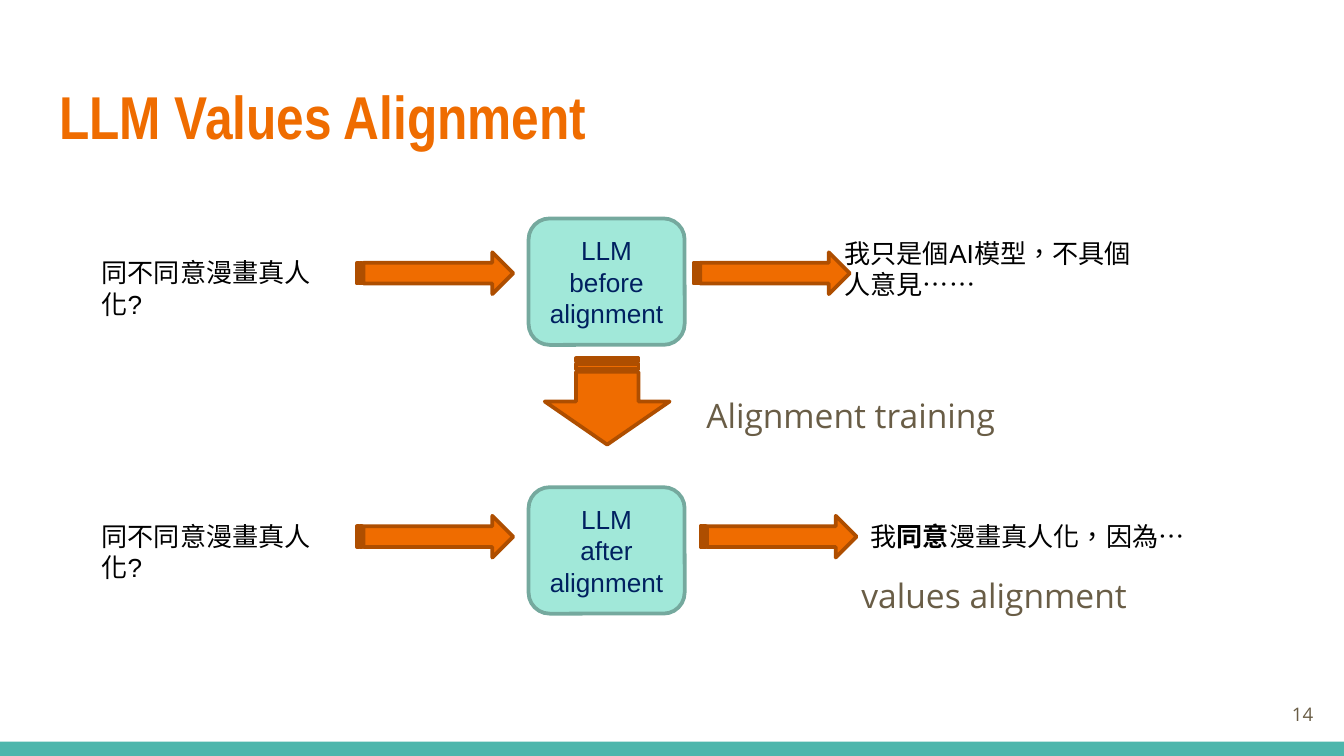
from pptx import Presentation
from pptx.dml.color import RGBColor
from pptx.enum.lang import MSO_LANGUAGE_ID
from pptx.enum.shapes import MSO_SHAPE
from pptx.enum.text import MSO_ANCHOR, MSO_AUTO_SIZE, PP_ALIGN
from pptx.util import Cm, Pt

ORANGE = RGBColor(0xEF, 0x6C, 0x00)
DARK_ORANGE = RGBColor(0xAE, 0x4E, 0x00)
MINT = RGBColor(0xA1, 0xE8, 0xD9)
DARK_MINT = RGBColor(0x75, 0xA9, 0x9E)
TEAL = RGBColor(0x4D, 0xB6, 0xAC)
NAVY = RGBColor(0x00, 0x20, 0x60)
BROWN = RGBColor(0x69, 0x5D, 0x46)
BLACK = RGBColor(0x00, 0x00, 0x00)

QUESTION = "同不同意漫畫真人化?"


def add_span(para, text, size=14, font="Arial", color=BLACK, bold=False):
    span = para.add_run()
    span.text = text
    span.font.size = Pt(size)
    span.font.name = font
    span.font.color.rgb = color
    span.font.bold = bold
    return span


def add_chinese(para, text, bold=False):
    span = add_span(para, text, bold=bold)
    span.font.language_id = MSO_LANGUAGE_ID.TRADITIONAL_CHINESE


def set_frame(frame, margin=0.25, anchor=MSO_ANCHOR.TOP):
    frame.word_wrap = True
    frame.auto_size = MSO_AUTO_SIZE.NONE
    frame.vertical_anchor = anchor
    frame.margin_left = frame.margin_right = Cm(0.25)
    frame.margin_top = frame.margin_bottom = Cm(margin)


def add_text(page, left, top, width, height, margin=0.25, anchor=MSO_ANCHOR.TOP):
    box = page.shapes.add_textbox(Cm(left), Cm(top), Cm(width), Cm(height))
    set_frame(box.text_frame, margin, anchor)
    return box.text_frame.paragraphs[0]


def add_block(page, kind, left, top, width, height, fill, line=None):
    block = page.shapes.add_shape(kind, Cm(left), Cm(top), Cm(width), Cm(height))
    block.shadow.inherit = False
    block.fill.solid()
    block.fill.fore_color.rgb = fill
    if line is None:
        block.line.fill.background()
    else:
        block.line.color.rgb = line
        block.line.width = Pt(2)
    return block


def add_arrow(page, left, top, width=2.95, height=0.79):
    return add_block(page, MSO_SHAPE.STRIPED_RIGHT_ARROW, left, top, width, height,
                     ORANGE, DARK_ORANGE)


def add_title(page, left, top, width, height):
    title = page.shapes.title
    title.left, title.top = Cm(left), Cm(top)
    title.width, title.height = Cm(width), Cm(height)
    set_frame(title.text_frame)
    para = title.text_frame.paragraphs[0]
    para.alignment = PP_ALIGN.LEFT
    add_span(para, "LLM Values Alignment", 32.4, "Arial Narrow", ORANGE, True)


def add_model(page, left, top, width, height, stage):
    box = add_block(page, MSO_SHAPE.ROUNDED_RECTANGLE, left, top, width, height,
                    MINT, DARK_MINT)
    frame = box.text_frame
    set_frame(frame, 0.13, MSO_ANCHOR.MIDDLE)
    name, detail = frame.paragraphs[0], frame.add_paragraph()
    name.alignment = detail.alignment = PP_ALIGN.CENTER
    add_span(name, "LLM", color=NAVY)
    add_span(detail, stage, color=NAVY)
    detail.add_line_break()
    add_span(detail, "alignment", color=NAVY)


def add_flow(page, left, top, stage, arrow_top, output_left, answer_box, answer):
    add_model(page, left + 8.32, top, 2.95, 2.39, stage)
    question = add_text(page, left, arrow_top - 0.05, 4.9, 1.45, 0.13)
    add_chinese(question, QUESTION)
    reply = add_text(page, *answer_box, 0.13)
    for text, bold in answer:
        add_chinese(reply, text, bold)
    for arrow_left in (left + 5.08, output_left):
        add_arrow(page, arrow_left, arrow_top)


def add_training(page, left, top, width, height):
    arrow = add_arrow(page, left, top, width, height)
    arrow.rotation = 90
    label = add_text(page, left + 2.44, top + 0.81, 7.92, 1.85)
    add_span(label, "Alignment training", 18, "Open Sans", BROWN)


def add_footer(page, left, top, width, height):
    add_block(page, MSO_SHAPE.RECTANGLE, left, top, width, height, TEAL)
    number = add_text(page, left + 23.55, top - 1.07, 1.52, 1.09,
                      anchor=MSO_ANCHOR.MIDDLE)
    number.alignment = PP_ALIGN.RIGHT
    add_span(number, "14", 10, "Open Sans", BROWN)


def main():
    deck = Presentation()
    deck.slide_width, deck.slide_height = Cm(25.4), Cm(14.29)
    page = deck.slides.add_slide(deck.slide_layouts[5])
    add_footer(page, 0, 14.02, 25.4, 0.27)
    add_title(page, 0.87, 1.24, 23.67, 1.95)
    add_flow(page, 1.67, 4.13, "before", 4.77, 13.11, (15.71, 4.36, 6.2, 1.45),
             [("我只是個AI模型，不具個人意見……", False)])
    add_flow(page, 1.67, 9.21, "after", 9.75, 13.24, (16.2, 9.7, 6.48, 0.86),
             [("我", False), ("同意", True), ("漫畫真人化，因為…", False)])
    add_training(page, 10.66, 6.41, 1.63, 2.36)
    label = add_text(page, 16.03, 10.62, 5.82, 1.09)
    add_span(label, "values alignment", 18, "Open Sans", BROWN)
    deck.save("out.pptx")


if __name__ == "__main__":
    main()
